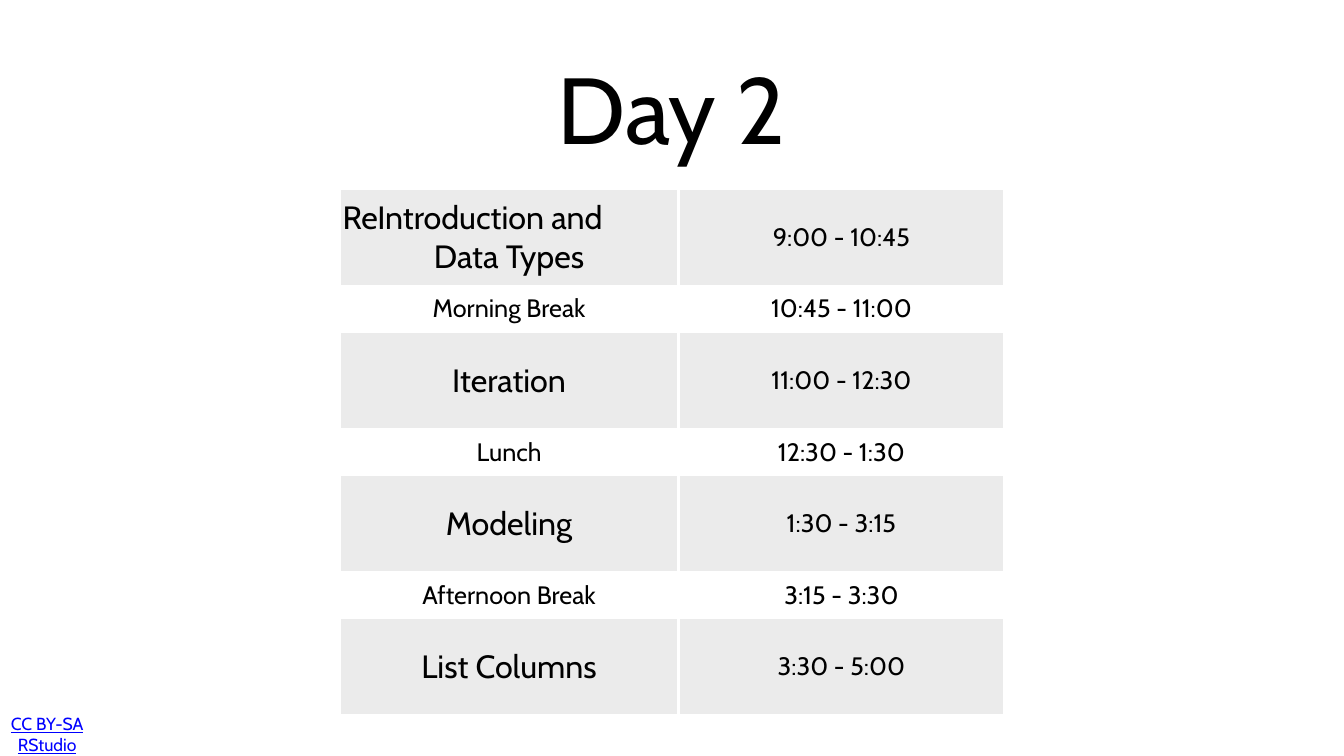
from lxml.etree import SubElement
from pptx import Presentation
from pptx.dml.color import RGBColor
from pptx.enum.text import MSO_ANCHOR, MSO_AUTO_SIZE, PP_ALIGN
from pptx.oxml.ns import qn
from pptx.util import Pt

FONT = "Cabin"
COLORS = {"ink": "000000", "link": "0000FF", "band": "EBEBEB", "line": "FFFFFF"}
COLS = (483.84, 465.84)
TALL, LOW = 139.68, 64.8
PLAN = [
    ("ReIntroduction and\nData Types", "9:00 - 10:45"),
    ("Morning Break", "10:45 - 11:00"),
    ("Iteration", "11:00 - 12:30"),
    ("Lunch", "12:30 - 1:30"),
    ("Modeling", "1:30 - 3:15"),
    ("Afternoon Break", "3:15 - 3:30"),
    ("List Columns", "3:30 - 5:00"),
]


def color(name):
    return RGBColor.from_string(COLORS[name])


def write(frame, text, size, ink="ink", under=None):
    """Fill a text frame with centred paragraphs, one per line."""
    frame.text = text
    for para in frame.paragraphs:
        para.alignment = PP_ALIGN.CENTER
        for run in para.runs:
            font = run.font
            font.name, font.size, font.underline = FONT, Pt(size), under
            font.color.rgb = color(ink)


def inset(item, left, top, right, bottom):
    item.margin_left, item.margin_top = Pt(left), Pt(top)
    item.margin_right, item.margin_bottom = Pt(right), Pt(bottom)


def border(cell, width):
    """Draw all four sides, placed ahead of the fill as the schema asks."""
    props = cell._tc.get_or_add_tcPr()
    for spot, side in enumerate(("lnL", "lnR", "lnT", "lnB")):
        line = SubElement(props, qn(f"a:{side}"), w=str(Pt(width)))
        fill = SubElement(line, qn("a:solidFill"))
        SubElement(fill, qn("a:srgbClr"), val=COLORS["line"])
        props.insert(spot, line)


def add_title(slide, left, top, width, height):
    title = slide.shapes.title
    title.left, title.top = Pt(left), Pt(top)
    title.width, title.height = Pt(width), Pt(height)
    frame = title.text_frame
    frame.auto_size, frame.word_wrap = MSO_AUTO_SIZE.NONE, True
    frame.vertical_anchor = MSO_ANCHOR.MIDDLE
    inset(frame, 4, 4, 4, 4)
    write(frame, "Day 2", 134)


def add_plan(slide, left, top):
    high = [LOW if row % 2 else TALL for row in range(len(PLAN))]
    table = slide.shapes.add_table(
        len(PLAN), len(COLS), Pt(left), Pt(top), Pt(sum(COLS)), Pt(sum(high))
    ).table
    table.first_row = table.horz_banding = False
    for col, width in zip(table.columns, COLS):
        col.width = Pt(width)
    for row, (texts, height) in enumerate(zip(PLAN, high)):
        table.rows[row].height = Pt(height)
        lesson = row % 2 == 0
        for col, text in enumerate(texts):
            cell = table.cell(row, col)
            cell.vertical_anchor = MSO_ANCHOR.MIDDLE
            inset(cell, 4, 4, 4, 4)
            if lesson:
                cell.fill.solid()
                cell.fill.fore_color.rgb = color("band")
            else:
                cell.fill.background()
            border(cell, 5)
            write(cell.text_frame, text, 46 if lesson and col == 0 else 36)
    # The first line of the opening lesson starts at the left edge
    table.cell(0, 0).text_frame.paragraphs[0].alignment = PP_ALIGN.LEFT


def add_credit(slide, left, top, width, height):
    box = slide.shapes.add_textbox(Pt(left), Pt(top), Pt(width), Pt(height))
    frame = box.text_frame
    frame.auto_size, frame.word_wrap = MSO_AUTO_SIZE.NONE, True
    frame.vertical_anchor = MSO_ANCHOR.MIDDLE
    # A wide right margin breaks the line after the licence
    inset(frame, 5, 6, 79, 6)
    write(frame, "CC BY-SA RStudio", 25, ink="link", under=True)


def main():
    deck = Presentation()
    deck.slide_width, deck.slide_height = Pt(1920), Pt(1080)
    slide = deck.slides.add_slide(deck.slide_layouts[5])
    add_credit(slide, 8.64, 1026.72, 191.52, 43.2)
    add_title(slide, 315.36, 58.32, 1288.8, 188.64)
    add_plan(slide, 485.28, 269.28)
    deck.save("out.pptx")


if __name__ == "__main__":
    main()
